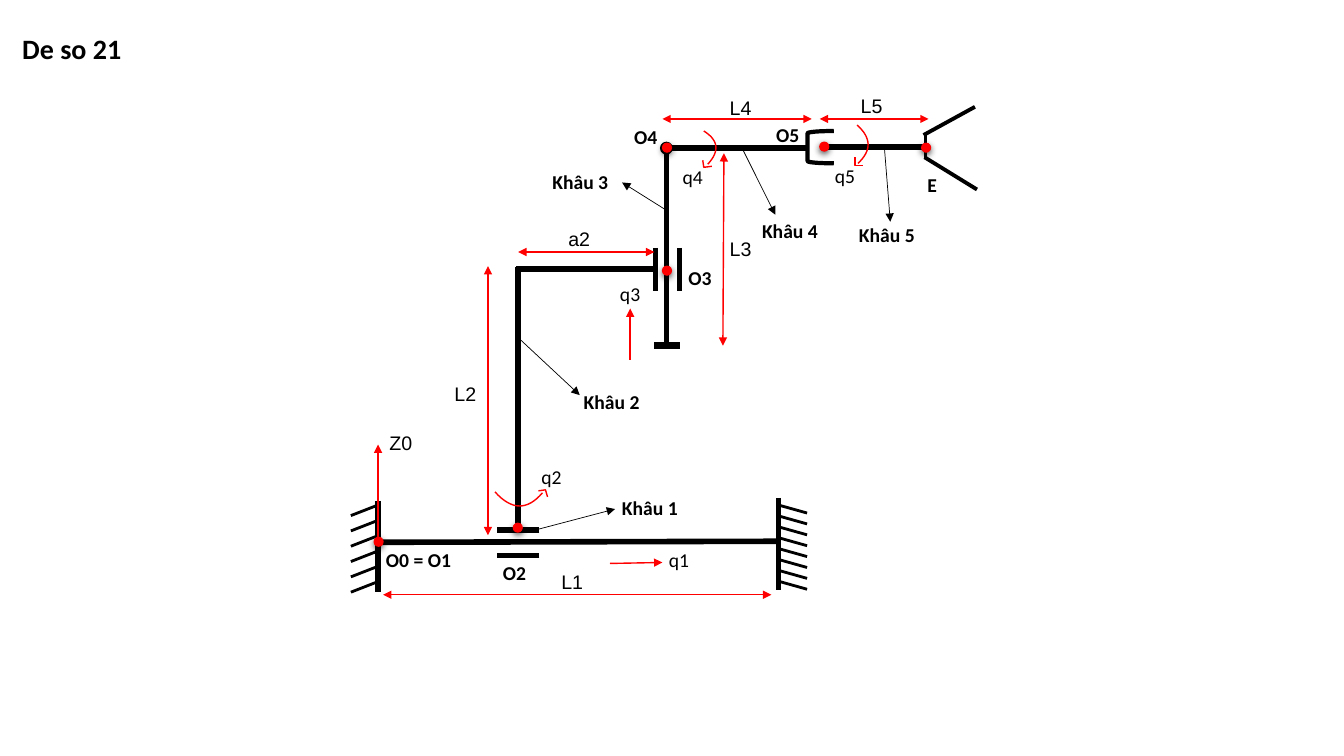
from lxml import etree
from pptx import Presentation
from pptx import util as u
from pptx.dml.color import RGBColor
from pptx.enum import shapes, text
from pptx.oxml import ns

COLORS = {"link": "000000", "mark": "FF0000"}
CELL = 0.1  # inches per grid column and row
LABEL_ROWS = 3.4
DOT = 0.9


def grid(cells):
    return u.Inches(cells * CELL)


def color(name):
    return RGBColor.from_string(COLORS[name])


def add_xml(parent, tag, **attributes):
    return etree.SubElement(parent, ns.qn(tag), attributes)


def write(frame, words, size=14, font="Calibri", bold=False, align="LEFT", spacing=None):
    frame.word_wrap = True
    paragraph = frame.paragraphs[0]
    paragraph.alignment = getattr(text.PP_ALIGN, align)
    if spacing:
        paragraph.line_spacing = spacing
    run = paragraph.add_run()
    run.text = words
    run.font.size, run.font.name, run.font.bold = u.Pt(size), font, bold
    run.font.color.rgb = color("link")


def add_label(slide, words, column, row, columns, **style):
    box = slide.shapes.add_textbox(grid(column), grid(row), grid(columns), grid(LABEL_ROWS))
    write(box.text_frame, words, **style)
    box.text_frame.auto_size = text.MSO_AUTO_SIZE.SHAPE_TO_FIT_TEXT


def add_line(slide, start, end, width=4, ink="link", arrows=()):
    line = slide.shapes.add_connector(
        shapes.MSO_CONNECTOR.STRAIGHT, *map(grid, start + end))
    line.line.color.rgb = color(ink)
    line.line.width = u.Pt(width)
    properties = line._element.spPr
    for arrow in arrows:
        add_xml(properties.find(ns.qn("a:ln")), f"a:{arrow}End", type="triangle")
    add_xml(properties, "a:effectLst")


def add_dimension(slide, start, end):
    add_line(slide, start, end, 1, "mark", ("head", "tail"))


def add_dot(slide, column, row, size=DOT, ink="mark", width=0.75, shadow=True):
    dot = slide.shapes.add_shape(
        shapes.MSO_SHAPE.OVAL, grid(column), grid(row), grid(size), grid(size))
    dot.fill.solid()
    dot.fill.fore_color.rgb = dot.line.color.rgb = color(ink)
    dot.line.width = u.Pt(width)
    dot.shadow.inherit = False
    if shadow:
        effects = dot._element.spPr.find(ns.qn("a:effectLst"))
        outer = add_xml(effects, "a:outerShdw", blurRad=str(u.Pt(4.5)), dist=str(u.Pt(1.5)),
                        dir="5400000", rotWithShape="0")
        shade = add_xml(outer, "a:srgbClr", val=COLORS["link"])
        add_xml(shade, "a:alpha", val="63000")


def add_outline(slide, points):
    points = [tuple(map(grid, point)) for point in points]
    builder = slide.shapes.build_freeform(*points[0])
    builder.add_line_segments(points[1:], close=False)
    outline = builder.convert_to_shape()
    outline.fill.background()
    outline.line.color.rgb = color("mark")
    outline.line.width = u.Pt(1)
    outline.shadow.inherit = False


def arc_points(start, middle, end, steps=16):
    """Parabola that starts, passes halfway and ends at the given points."""
    points = []
    for step in range(steps + 1):
        t = step / steps
        weights = (1 - t) * (1 - 2 * t), 4 * t * (1 - t), t * (2 * t - 1)
        points.append(tuple(sum(w * p for w, p in zip(weights, axis))
                            for axis in zip(start, middle, end)))
    return points


def add_wall(slide, column, top, bottom, count, pitch, run, drop):
    add_line(slide, (column, top), (column, bottom))
    for index in range(count):
        row = 50.1 + index * pitch
        add_line(slide, (column, row), (column + run, row + drop), 2)


def add_mechanism(slide):
    # Walls and sliding base
    add_wall(slide, 37.5, 49.7, 58.7, 6, 1.52, -2.7, 1.05)
    add_wall(slide, 77.2, 49.4, 58.5, 8, 1.08, 2.85, 0.8)
    add_dot(slide, 65.6, 14.2, size=1, ink="link", width=2, shadow=False)
    for row in (52.6, 55.1):
        add_line(slide, (53.5, row), (49.3, row))
    # Arms and prismatic joint
    for column in (65, 67.4):
        add_line(slide, (column, 24.6), (column, 28.9))
    for start, end in [((77, 53.7), (37.5, 53.8)), ((51.4, 26.5), (51.4, 52.8)),
                       ((65.2, 26.7), (51.2, 26.7)), ((66.1, 14.8), (66.1, 34.3)),
                       ((80.1, 14.7), (66.1, 14.7)), ((91.6, 14.6), (81.8, 14.6))]:
        add_line(slide, start, end)
    add_line(slide, (64.9, 34.3), (67.4, 34.3), 5)
    # Gripper and its fork
    for start, end in [((91.8, 13.2), (91.8, 15.7)), ((91.7, 15.6), (96.9, 18.8)),
                       ((91.6, 13.4), (96.7, 10.6))]:
        add_line(slide, start, end, 2.75)
    fork = slide.shapes.add_shape(
        shapes.MSO_SHAPE.LEFT_BRACKET, *map(grid, (80.1, 13, 2.6, 3.2)))
    fork.fill.background()
    fork.line.color.rgb = color("link")
    fork.line.width = u.Pt(3)
    fork.shadow.inherit = False


def add_motions(slide):
    # Straight arrows: Z0, q1, q3
    for start, end, width in [((37.5, 53.8), (37.5, 44.1), 1.25),
                              ((60.5, 55.9), (65.7, 55.8), 1), ((62.5, 35.7), (62.5, 30.6), 1)]:
        add_line(slide, start, end, width, "mark", ("tail",))
    # Joint origins
    for column, row in [(37.1, 53.3), (50.9, 51.9), (65.7, 26.4),
                        (65.7, 14.2), (81.3, 14.1), (91.4, 14.2)]:
        add_dot(slide, column, row)
    # Rotation arrows: q2, q4, q5
    for arc, head in [
            (((49.1, 48.8), (51.5, 50.2), (53.8, 48.9)), ((53.4, 48.7), (54.1, 48.6), (54.3, 49.3))),
            (((70.2, 16.3), (71, 14.5), (69.8, 13)), ((69.7, 15.9), (69.8, 16.6), (70.6, 16.5))),
            (((85.1, 16.2), (86.1, 14.3), (85, 12.4)), ((84.8, 15.6), (84.8, 16.4), (85.6, 16.4)))]:
        add_outline(slide, arc_points(*arc))
        add_outline(slide, head)


def add_dimensions(slide):
    for start, end in [((51.4, 25), (64.9, 25)), ((65.7, 11.8), (80.5, 11.8)),
                       ((81.3, 11.8), (92.1, 11.8)), ((38, 59), (76.5, 59)),
                       ((48.4, 26.4), (48.4, 53.1)), ((71.8, 15.2), (71.7, 34.3))]:
        add_dimension(slide, start, end)
    for words, column, row in [("Z0", 37.3, 42.3), ("L1", 54.3, 56.1), ("L2", 43.7, 37.4),
                               ("a2", 55, 22), ("L3", 71, 23), ("L4", 71, 9), ("L5", 84, 8.8)]:
        add_label(slide, words, column, row, 4.9, font="Arial", align="CENTER")


def add_names(slide):
    # Joint variables
    for words, column, row, columns in [("q1", 64.4, 53.9, 5.9), ("q2", 52.5, 45.6, 4.4),
                                        ("q3", 60.3, 27.5, 4.4), ("q4", 66.1, 15.9, 5.2),
                                        ("q5", 81.4, 15.8, 4.8)]:
        add_label(slide, words, column, row, columns, align="CENTER")
    # Origins
    for words, column, row, columns in [("O0 = O1", 37.3, 53.7, 9), ("O2", 48.9, 55, 4.9),
                                        ("O3", 67.3, 25.7, 4.6), ("O4", 61.9, 11.7, 5.3),
                                        ("O5", 76, 11.5, 4.6), ("E", 91, 16.5, 4.7)]:
        add_label(slide, words, column, row, columns, bold=True, spacing=1.07)
    # Links with their pointers
    for number, (column, row, start, end) in enumerate([
            (60.7, 48.7, (53.4, 52.5), (61, 50.5)), (56.9, 38.2, (51.4, 33.5), (57.5, 39.2)),
            (53.8, 16.4, (66, 20.8), (61.7, 18.1)), (74.6, 21.2, (73.6, 14.7), (76.9, 21.3)),
            (84.2, 21.6, (87.7, 14.4), (88.3, 22))], start=1):
        add_line(slide, start, end, 0.5, arrows=("tail",))
        add_label(slide, f"Khâu {number}", column, row, 8.6, bold=True)


def main():
    presentation = Presentation()
    presentation.slide_width, presentation.slide_height = u.Inches(13.33), u.Inches(7.5)
    slide = presentation.slides.add_slide(presentation.slide_layouts[5])
    title = slide.shapes.title
    title.left, title.top, title.width, title.height = map(grid, (1.2, 1.2, 15.9, 7.6))
    title.text_frame.vertical_anchor = text.MSO_ANCHOR.MIDDLE
    write(title.text_frame, "De so 21", size=20, bold=True, spacing=0.9)
    add_mechanism(slide)
    add_motions(slide)
    add_dimensions(slide)
    add_names(slide)
    presentation.save("out.pptx")


if __name__ == "__main__":
    main()
